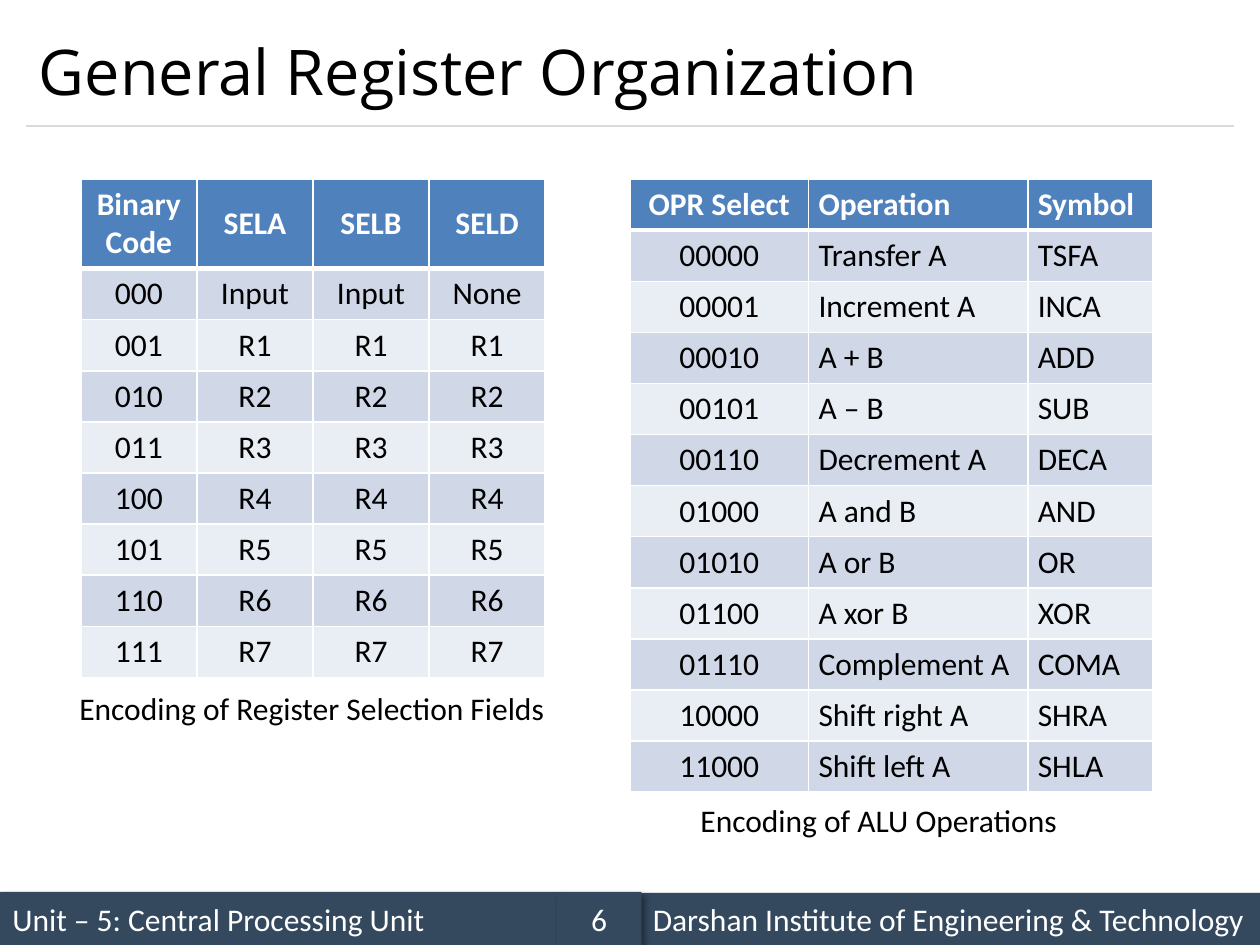
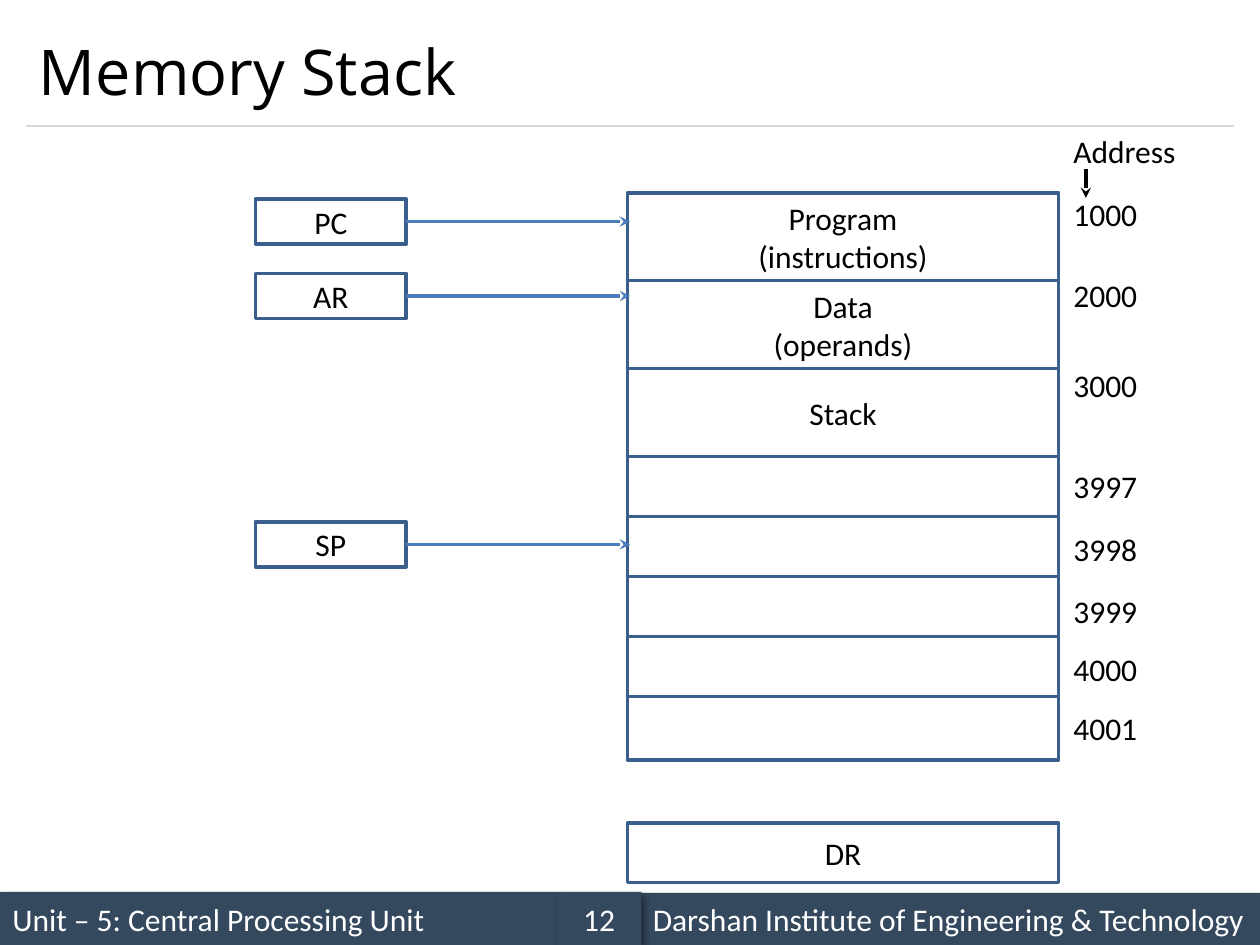
from dataclasses import dataclass
from itertools import accumulate

from lxml import etree
from pptx import Presentation
from pptx.dml.color import RGBColor
from pptx.enum.shapes import MSO_CONNECTOR, MSO_SHAPE
from pptx.enum.text import MSO_ANCHOR, MSO_AUTO_SIZE, PP_ALIGN
from pptx.oxml.ns import qn
from pptx.util import Cm, Pt

LEFT, CENTER = PP_ALIGN.LEFT, PP_ALIGN.CENTER
MIDDLE = MSO_ANCHOR.MIDDLE
RECTANGLE = MSO_SHAPE.RECTANGLE
STRAIGHT = MSO_CONNECTOR.STRAIGHT
RIGHT_SIDE = 3
TITLE_ONLY = 5


@dataclass(frozen=True)
class Theme:
    title_font: str = "Open Sans"
    body_font: str = "Calibri"
    title_size: float = 36
    body_size: float = 18
    ink: RGBColor = RGBColor(0, 0, 0)
    white: RGBColor = RGBColor(255, 255, 255)
    footer: RGBColor = RGBColor(0x34, 0x49, 0x5E)
    rule: RGBColor = RGBColor(0xD9, 0xD9, 0xD9)
    header: RGBColor = RGBColor(0x4F, 0x81, 0xBD)
    bands: tuple = (RGBColor(0xD0, 0xD8, 0xE8), RGBColor(0xE9, 0xED, 0xF4))
    outline: RGBColor = RGBColor(0x3A, 0x5F, 0x8C)
    arrow: RGBColor = RGBColor(0x4B, 0x7E, 0xBC)


THEME = Theme()


# Lengths in the records below are centimetres
@dataclass(frozen=True)
class Box:
    left: float
    top: float
    width: float
    height: float

    def lengths(self) -> tuple:
        return Cm(self.left), Cm(self.top), Cm(self.width), Cm(self.height)


@dataclass(frozen=True)
class Encoding:
    place: Box
    columns: tuple
    aligns: tuple
    header_height: float
    side_margin: float
    rows: list
    caption: str
    caption_place: Box


@dataclass(frozen=True)
class MemoryCell:
    text: str
    height: float
    address: str
    address_top: float


@dataclass(frozen=True)
class Register:
    name: str
    top: float


ROW_HEIGHT = 1.03
REGISTER_FIELDS = Encoding(
    Box(1.63, 3.61, 9.36, 10.02), (2.34,) * 4, (CENTER,) * 4, 1.78, 0.11,
    [("Binary Code", "SELA", "SELB", "SELD"),
     ("000", "Input", "Input", "None"),
     *((f"{number:03b}",) + (f"R{number}",) * 3 for number in range(1, 8))],
    "Encoding of Register Selection Fields", Box(1.35, 13.77, 10, 1.12))
ALU_OPERATIONS = Encoding(
    Box(12.7, 3.61, 10.54, 12.36), (3.6, 4.42, 2.52), (CENTER, LEFT, LEFT), ROW_HEIGHT, 0.2,
    [("OPR Select", "Operation", "Symbol"),
     ("00000", "Transfer A", "TSFA"),
     ("00001", "Increment A", "INCA"),
     ("00010", "A + B", "ADD"),
     ("00101", "A – B", "SUB"),
     ("00110", "Decrement A", "DECA"),
     ("01000", "A and B", "AND"),
     ("01010", "A or B", "OR"),
     ("01100", "A xor B", "XOR"),
     ("01110", "Complement A", "COMA"),
     ("10000", "Shift right A", "SHRA"),
     ("11000", "Shift left A", "SHLA")],
    "Encoding of ALU Operations", Box(13.87, 16.03, 8.2, 0.93))

MEMORY = Box(12.65, 3.89, 8.69, 11.43)
SECTION, WORD = 1.77, 1.21
MEMORY_CELLS = [
    MemoryCell("Program\n(instructions)", SECTION, "1000", 3.81),
    MemoryCell("Data\n(operands)", SECTION, "2000", 5.44),
    MemoryCell("Stack", SECTION, "3000", 7.26),
    MemoryCell("", WORD, "3997", 9.3),
    MemoryCell("", WORD, "3998", 10.57),
    MemoryCell("", WORD, "3999", 11.81),
    MemoryCell("", WORD, "4000", 12.98),
    MemoryCell("", 1.28, "4001", 14.17),
]
REGISTERS = [Register("PC", 4.01), Register("AR", 5.51), Register("SP", 10.52)]
ADDRESS_LEFT = 21.39


def format_text(frame, color: RGBColor, align=LEFT, bold: bool = False,
                font: str = THEME.body_font, size: float = THEME.body_size) -> None:
    for paragraph in frame.paragraphs:
        paragraph.alignment = align
        for run in paragraph.runs:
            run.font.name, run.font.size = font, Pt(size)
            run.font.bold, run.font.color.rgb = bold, color


def add_rect(slide, place: Box, text: str = "", align=CENTER):
    """Outlined, unfilled rectangle with dark text."""
    rect = slide.shapes.add_shape(RECTANGLE, *place.lengths())
    rect.shadow.inherit = False
    rect.fill.background()
    rect.line.color.rgb, rect.line.width = THEME.outline, Pt(2)
    if text:
        rect.text_frame.text = text
        rect.text_frame.vertical_anchor = MIDDLE
        format_text(rect.text_frame, THEME.ink, align)
    return rect


def add_label(slide, place: Box, text: str, wrap: bool = True) -> None:
    label = slide.shapes.add_textbox(*place.lengths())
    label.text_frame.text = text
    label.text_frame.word_wrap = wrap
    if not wrap:
        label.text_frame.auto_size = MSO_AUTO_SIZE.SHAPE_TO_FIT_TEXT
    format_text(label.text_frame, THEME.ink)


def add_line(slide, start: tuple, end: tuple, color: RGBColor, width: float,
             arrow: bool = False):
    line = slide.shapes.add_connector(STRAIGHT, *start, *end)
    line.line.color.rgb, line.line.width = color, Pt(width)
    if arrow:
        etree.SubElement(line.line._get_or_add_ln(), qn("a:tailEnd"), type="stealth")
    etree.SubElement(line._element.spPr, qn("a:effectLst"))
    return line


def add_footer_band(slide, place: Box, text: str, align=LEFT) -> None:
    band = add_rect(slide, place, text, align)
    band.fill.solid()
    band.fill.fore_color.rgb = THEME.footer
    band.line.fill.background()
    format_text(band.text_frame, THEME.white, align)
    # Soft shadow towards the lower right
    effects = band._element.spPr.find(qn("a:effectLst"))
    shadow = etree.SubElement(effects, qn("a:outerShdw"), blurRad=str(Pt(4)),
                              dist=str(Pt(3)), dir="2700000", algn="tl", rotWithShape="0")
    shade = etree.SubElement(shadow, qn("a:srgbClr"), val=str(THEME.ink))
    etree.SubElement(shade, qn("a:alpha"), val="40000")


def add_base_slide(prs, title: str, number: int):
    """Slide with the shared title style, rule and footer."""
    slide = prs.slides.add_slide(prs.slide_layouts[TITLE_ONLY])
    add_footer_band(slide, Box(0, 17.98, 11.23, 1.07), "Unit – 5: Central Processing Unit")
    add_line(slide, (Cm(0.53), Cm(2.54)), (Cm(24.87), Cm(2.54)), THEME.rule, 0.75)
    add_footer_band(slide, Box(12.91, 18, 12.49, 1.05),
                    "Darshan Institute of Engineering & Technology")
    add_footer_band(slide, Box(11.23, 17.98, 1.7, 1.07), str(number), CENTER)
    heading = slide.shapes.title
    heading.left, heading.top, heading.width, heading.height = Box(0.53, 0.3, 24.34, 2.24).lengths()
    heading.text_frame.text = title
    heading.text_frame.vertical_anchor = MIDDLE
    heading.text_frame.auto_size = MSO_AUTO_SIZE.NONE
    format_text(heading.text_frame, THEME.ink, font=THEME.title_font, size=THEME.title_size)
    return slide


def set_borders(cell, row: int) -> None:
    """White grid, heavier between the header and the body."""
    widths = {"lnL": 1, "lnR": 1, "lnT": 3 if row == 1 else 1, "lnB": 3 if row == 0 else 1}
    for edge, width in widths.items():
        border = etree.SubElement(cell._tc.get_or_add_tcPr(), qn(f"a:{edge}"), w=str(Pt(width)))
        fill = etree.SubElement(border, qn("a:solidFill"))
        etree.SubElement(fill, qn("a:srgbClr"), val=str(THEME.white))


def add_encoding(slide, encoding: Encoding) -> None:
    table = slide.shapes.add_table(len(encoding.rows), len(encoding.columns),
                                   *encoding.place.lengths()).table
    for column, width in zip(table.columns, encoding.columns):
        column.width = Cm(width)
    for r, values in enumerate(encoding.rows):
        is_header = r == 0
        table.rows[r].height = Cm(encoding.header_height if is_header else ROW_HEIGHT)
        for c, value in enumerate(values):
            cell = table.cell(r, c)
            cell.text_frame.text = value
            cell.vertical_anchor = MIDDLE
            cell.margin_left = cell.margin_right = Cm(encoding.side_margin)
            set_borders(cell, r)
            cell.fill.solid()
            cell.fill.fore_color.rgb = THEME.header if is_header else THEME.bands[(r - 1) % 2]
            format_text(cell.text_frame, THEME.white if is_header else THEME.ink,
                        encoding.aligns[c], bold=is_header)
    add_label(slide, encoding.caption_place, encoding.caption)


def add_memory(slide) -> None:
    add_rect(slide, MEMORY)
    tops = accumulate((cell.height for cell in MEMORY_CELLS), initial=MEMORY.top)
    # The frame itself outlines the last word
    for cell, top in zip(MEMORY_CELLS[:-1], tops):
        add_rect(slide, Box(MEMORY.left, top, MEMORY.width, cell.height), cell.text)
    add_rect(slide, Box(MEMORY.left, 16.59, MEMORY.width, 1.2), "DR")

    # Addresses to the right of the memory
    add_label(slide, Box(ADDRESS_LEFT, 2.54, 2.59, 1.03), "Address", wrap=False)
    add_line(slide, (Cm(21.89), Cm(3.4)), (Cm(21.89), Cm(3.99)), THEME.ink, 2, arrow=True)
    for cell in MEMORY_CELLS:
        add_label(slide, Box(ADDRESS_LEFT, cell.address_top, 1.8, 1.03), cell.address, wrap=False)


def add_register(slide, register: Register) -> None:
    box = add_rect(slide, Box(5.15, register.top, 3.04, 0.91), register.name)
    middle = box.top + box.height // 2
    pointer = add_line(slide, (box.left + box.width, middle), (Cm(12.7), middle),
                       THEME.arrow, 2, arrow=True)
    pointer.begin_connect(box, RIGHT_SIDE)


def main() -> None:
    prs = Presentation()
    prs.slide_width, prs.slide_height = Cm(25.4), Cm(19.05)

    # Encoding tables
    organization = add_base_slide(prs, "General Register Organization", 6)
    for encoding in (REGISTER_FIELDS, ALU_OPERATIONS):
        add_encoding(organization, encoding)

    # Memory diagram
    stack = add_base_slide(prs, "Memory Stack", 12)
    add_memory(stack)
    for register in REGISTERS:
        add_register(stack, register)

    prs.save("out.pptx")


if __name__ == "__main__":
    main()
